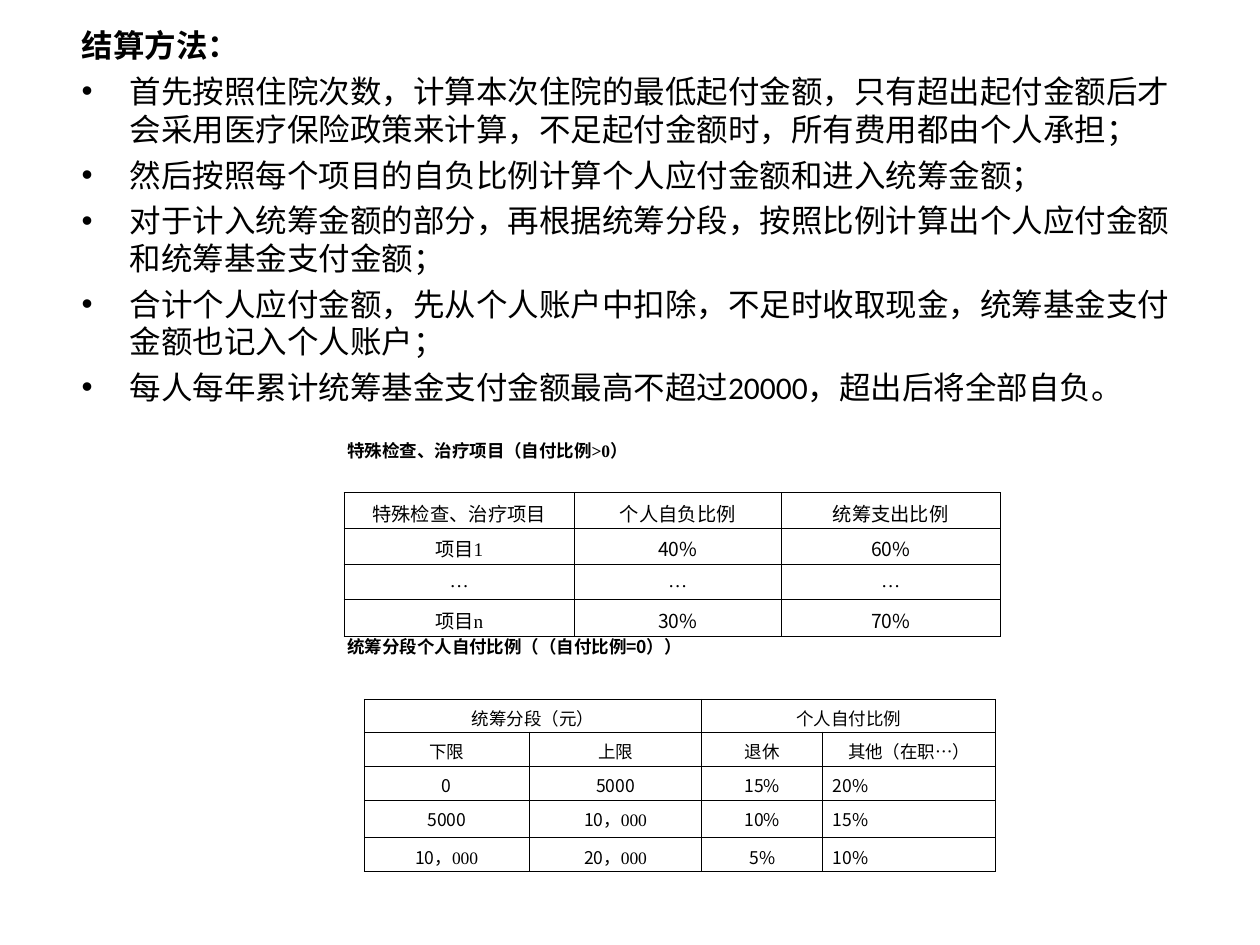
from pptx import Presentation
from pptx.dml.color import RGBColor
from pptx.enum.text import MSO_ANCHOR, PP_ALIGN
from pptx.oxml import parse_xml
from pptx.oxml.ns import nsdecls
from pptx.util import Inches, Pt

# Content
HEAD = "结算方法："
STEPS = [
    "首先按照住院次数，计算本次住院的最低起付金额，只有超出起付金额后才会采用医疗保险政策来计算，不足起付金额时，所有费用都由个人承担；",
    "然后按照每个项目的自负比例计算个人应付金额和进入统筹金额；",
    "对于计入统筹金额的部分，再根据统筹分段，按照比例计算出个人应付金额和统筹基金支付金额；",
    "合计个人应付金额，先从个人账户中扣除，不足时收取现金，统筹基金支付金额也记入个人账户；",
    "每人每年累计统筹基金支付金额最高不超过20000，超出后将全部自负。",
]
SANS, SERIF, BODY = "Noto Sans CJK SC", "Times New Roman", "Calibri"
CAPS = [
    ("特殊检查、治疗项目（自付比例>0）", SERIF, (2.66, 3.44, 3.98, 0.27)),
    ("统筹分段个人自付比例（（自付比例=0））", SANS, (2.66, 5, 2.97, 0.27)),
]
# "spans" lists cells merged with their right neighbour
TABLES = [
    {"at": (2.73, 3.91), "size": 11, "spans": [], "left": None,
     "cols": [1.83, 1.64, 1.74], "rows": [0.28, 0.29, 0.28, 0.29],
     "cells": [["特殊检查、治疗项目", "个人自负比例", "统筹支出比例"],
               ["项目1", "40%", "60%"],
               ["…", "…", "…"],
               ["项目n", "30%", "70%"]]},
    {"at": (2.89, 5.55), "size": 10, "spans": [(0, 0), (0, 2)], "left": (2, 3),
     "cols": [1.31, 1.37, 0.96, 1.37], "rows": [0.26, 0.27, 0.27, 0.3, 0.27],
     "cells": [["统筹分段（元）", "", "个人自付比例", ""],
               ["下限", "上限", "退休", "其他（在职…）"],
               ["0", "5000", "15%", "20%"],
               ["5000", "10，000", "10%", "15%"],
               ["10，000", "20，000", "5%", "10%"]]},
]
COLORS = {"ink": "000000"}
PAD = {"margin_left": 0.08, "margin_right": 0.08,
       "margin_top": 0.05, "margin_bottom": 0.01}


def add_run(para, text, font, size, east=SANS, bold=False):
    run = para.add_run()
    run.text = text
    look = {"name": font, "size": Pt(size), "bold": bold}
    for key, val in look.items():
        setattr(run.font, key, val)
    run.font.color.rgb = RGBColor.from_string(COLORS["ink"])
    props = run.font._element
    props.set("lang", "zh-CN")
    props.find("{*}latin").addnext(
        parse_xml(f'<a:ea {nsdecls("a")} typeface="{east}"/>'))


def add_box(at):
    frame = slide.shapes.add_textbox(*map(Inches, at)).text_frame
    frame.word_wrap = True
    return frame


def add_edges(cell):
    props = cell._tc.get_or_add_tcPr()
    for side in "LRTB":
        props.append(parse_xml(
            f'<a:ln{side} {nsdecls("a")} w="5715"><a:solidFill>'
            f'<a:srgbClr val="{COLORS["ink"]}"/></a:solidFill></a:ln{side}>'))


def fill_cell(cell, text, size, align):
    for key, val in PAD.items():
        setattr(cell, key, Inches(val))
    add_edges(cell)
    cell.fill.background()
    para = cell.text_frame.paragraphs[0]
    para.alignment = align
    # Plain numbers are sans, all other runs serif
    lead, mark, tail = text.partition("，")
    for part in filter(None, (lead, mark + tail)):
        plain = part.rstrip("%").isdecimal()
        add_run(para, part, SANS if plain else SERIF, size)


def add_grid(data):
    cells, cols, rows = data["cells"], data["cols"], data["rows"]
    size = (sum(cols), sum(rows))
    grid = slide.shapes.add_table(
        len(rows), len(cols), *map(Inches, data["at"] + size)).table
    grid.first_row = grid.horz_banding = False
    for col, wide in zip(grid.columns, cols):
        col.width = Inches(wide)
    for row, high in zip(grid.rows, rows):
        row.height = Inches(high)
    for r, line in enumerate(cells):
        for c, text in enumerate(line):
            left = data["left"] and r >= data["left"][0] and c == data["left"][1]
            align = PP_ALIGN.JUSTIFY if left else PP_ALIGN.CENTER
            fill_cell(grid.cell(r, c), text, data["size"], align)
    for r, c in data["spans"]:
        grid.cell(r, c).merge(grid.cell(r, c + 1))


deck = Presentation()
deck.slide_width, deck.slide_height = Inches(10), Inches(7.5)
slide = deck.slides.add_slide(deck.slide_layouts[6])

# Heading and bulleted steps
frame = add_box((0.55, 0.16, 9, 3.28))
for i, text in enumerate([HEAD] + STEPS):
    para = frame.add_paragraph() if i else frame.paragraphs[0]
    para.space_before = Pt(4.5)
    props = para._p.get_or_add_pPr()
    props.set("marL", str(Inches(0.38)))
    props.set("indent", str(-Inches(0.38)))
    if i:
        props.append(parse_xml(f'<a:buFont {nsdecls("a")} typeface="Arial"/>'))
        props.append(parse_xml(f'<a:buChar {nsdecls("a")} char="•"/>'))
    add_run(para, text, BODY, 18, east=BODY, bold=not i)

# Tables
for data in TABLES:
    add_grid(data)

# Table captions
for text, font, at in CAPS:
    frame = add_box(at)
    frame.vertical_anchor = MSO_ANCHOR.MIDDLE
    add_run(frame.paragraphs[0], text, font, 10, bold=True)

deck.save("out.pptx")
